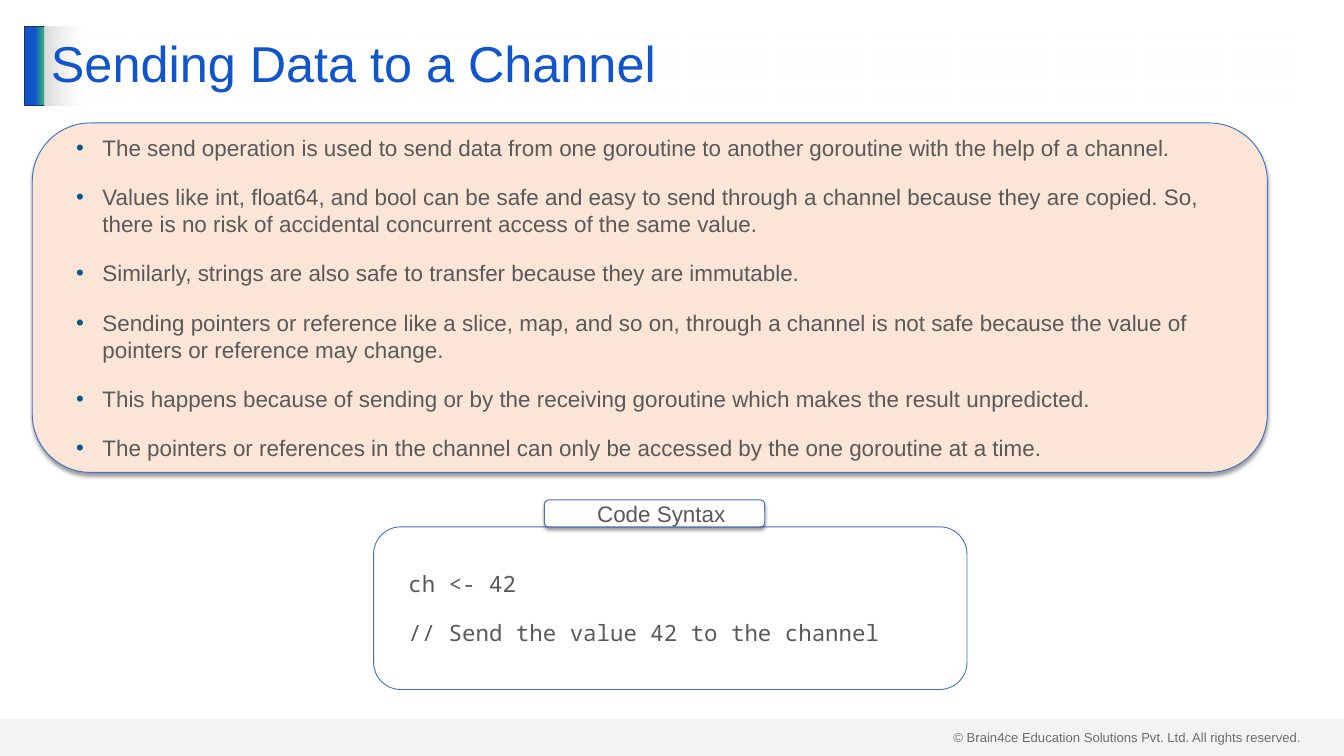
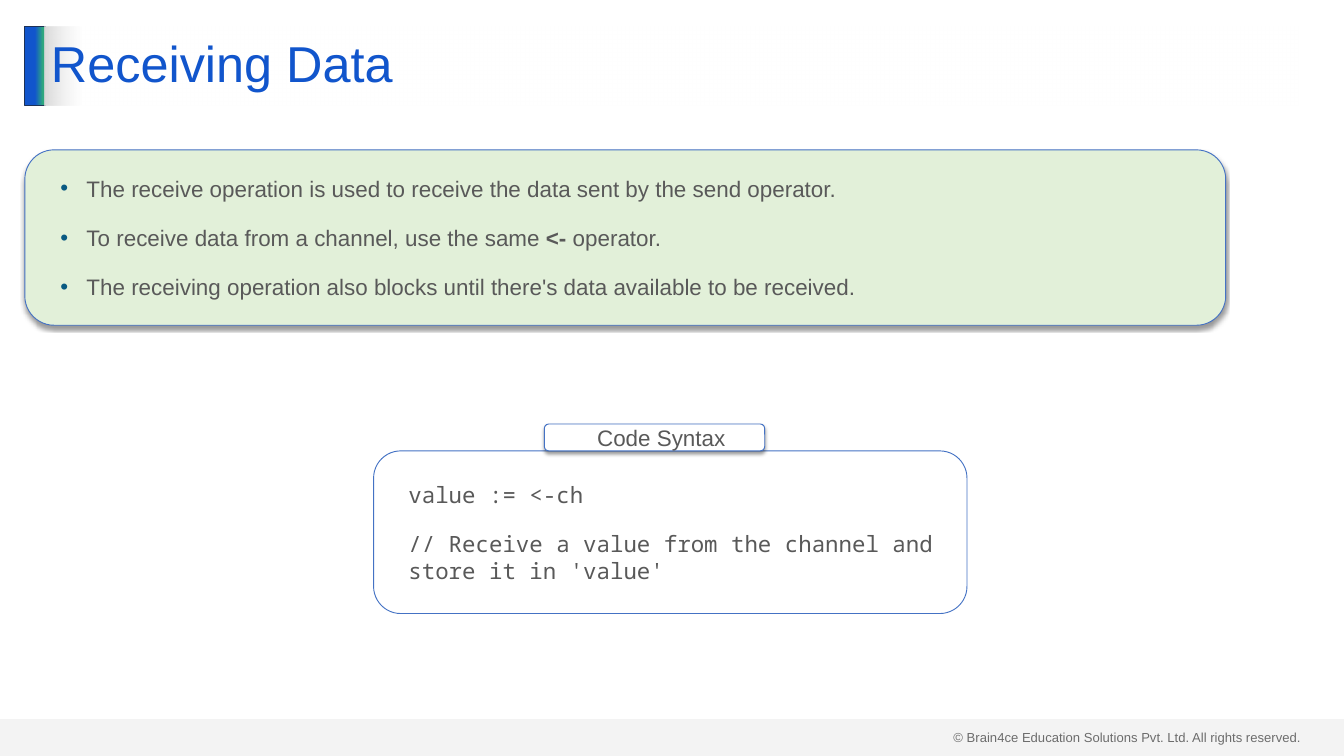
from dataclasses import dataclass

import pptx
import pptx.util
from lxml import etree
from pptx.dml.color import RGBColor
from pptx.enum.shapes import MSO_SHAPE
from pptx.enum.text import MSO_ANCHOR, PP_ALIGN
from pptx.oxml.ns import qn
from pptx.util import Inches, Pt


@dataclass(frozen=True)
class Theme:
    title: str = "1155CC"
    teal: str = "2EA87D"
    accent_edge: str = "1E3256"
    grey: str = "D9D9D9"
    white: str = "FFFFFF"
    peach: str = "FBE5D6"
    green: str = "E2F0D9"
    edge: str = "4472C4"
    body: str = "595959"
    bullet: str = "095A82"
    footer: str = "404040"
    shadow: str = "000000"
    sans: str = "Arial"
    mono: str = "Noto Sans Mono"
    title_size: int = 54
    body_size: int = 24
    footer_size: int = 14
    gap: int = 24


THEME = Theme()
FOOTER = "© Brain4ce Education Solutions Pvt. Ltd. All rights reserved."
CODE_HEADING = "Code Syntax"

LESSONS = [
    {
        "title": "Sending Data to a Channel",
        "panel": (0.48, 1.83, 18.38, 5.2),
        "tint": THEME.peach,
        "points": [
            "The send operation is used to send data from one goroutine to another goroutine with the help of a channel.",
            "Values like int, float64, and bool can be safe and easy to send through a channel because they are copied. "
            "So, there is no risk of accidental concurrent access of the same value.",
            "Similarly, strings are also safe to transfer because they are immutable.",
            "Sending pointers or reference like a slice, map, and so on, through a channel is not safe because the value "
            "of pointers or reference may change.",
            "This happens because of sending or by the receiving goroutine which makes the result unpredicted.",
            "The pointers or references in the channel can only be accessed by the one goroutine at a time.",
        ],
        "code_top": 7.84,
        "code": ["ch <- 42", "// Send the value 42 to the channel"],
    },
    {
        "title": "Receiving Data",
        "panel": (0.37, 2.23, 17.87, 2.61),
        "tint": THEME.green,
        "points": [
            "The receive operation is used to receive the data sent by the send operator.",
            ("To receive data from a channel, use the same ", "<- ", "operator."),
            "The receiving operation also blocks until there's data available to be received.",
        ],
        "code_top": 6.71,
        "code": ["value := <-ch", "// Receive a value from the channel and store it in 'value'"],
    },
]


def add_color(parent, color, alpha=100):
    node = etree.SubElement(parent, qn("a:srgbClr"), val=color)
    if alpha < 100:
        etree.SubElement(node, qn("a:alpha"), val=str(alpha * 1000))


def add_box(slide, place, kind=MSO_SHAPE.RECTANGLE, fill=None, edge=None):
    box = slide.shapes.add_shape(kind, *map(Inches, place))
    box.shadow.inherit = False
    if fill:
        box.fill.solid()
        box.fill.fore_color.rgb = RGBColor.from_string(fill)
    else:
        box.fill.background()
    if edge:
        box.line.color.rgb = RGBColor.from_string(edge)
        box.line.width = Pt(1)
    else:
        box.line.fill.background()
    return box


def set_gradient(box, stops):
    box.fill.gradient()
    box.fill.gradient_angle = 0
    stop_list = box.element.spPr.find(qn("a:gradFill")).find(qn("a:gsLst"))
    for stop in list(stop_list):
        stop_list.remove(stop)
    for position, color, alpha in stops:
        add_color(etree.SubElement(stop_list, qn("a:gs"), pos=str(position * 1000)), color, alpha)


def cast_shadow(box):
    effects = box.element.spPr.find(qn("a:effectLst"))
    shadow = etree.SubElement(effects, qn("a:outerShdw"), blurRad=str(Pt(4)), dist=str(Pt(3)),
                              dir="5400000", algn="t", rotWithShape="0")
    add_color(shadow, THEME.shadow, 40)


def set_font(paragraph, size, color, name=THEME.sans):
    paragraph.font.name = name
    paragraph.font.size = Pt(size)
    paragraph.font.color.rgb = RGBColor.from_string(color)


def write_body(box, texts, font=THEME.sans, bulleted=False, align=PP_ALIGN.LEFT):
    frame = box.text_frame
    frame.word_wrap = True
    frame.vertical_anchor = MSO_ANCHOR.MIDDLE
    frame.margin_left = frame.margin_right = Inches(0.2)
    frame.margin_top = frame.margin_bottom = Inches(0.1)
    for index, text in enumerate(texts):
        paragraph = frame.add_paragraph() if index else frame.paragraphs[0]
        parts = (text,) if isinstance(text, str) else text
        for number, part in enumerate(parts):
            run = paragraph.add_run()
            run.text = part
            if number % 2:
                run.font.bold = True
        paragraph.alignment = align
        paragraph.level = 1
        paragraph.space_before = Pt(THEME.gap if index else 0)
        paragraph.space_after = Pt(0)
        properties = paragraph._p.get_or_add_pPr()
        properties.set("marL", str(Inches(0.59 if bulleted else 0.2)))
        properties.set("indent", str(Inches(-0.39 if bulleted else 0)))
        if bulleted:
            add_color(etree.SubElement(properties, qn("a:buClr")), THEME.bullet)
            etree.SubElement(properties, qn("a:buFont"), typeface=THEME.sans)
            etree.SubElement(properties, qn("a:buChar"), char="•")
        set_font(paragraph, THEME.body_size, THEME.body, font)


def add_frame(slide, title):
    credit = slide.shapes.add_textbox(*map(Inches, (14.09, 10.8, 5.41, 0.34)))
    credit.text_frame.word_wrap = True
    credit.text_frame.text = FOOTER
    set_font(credit.text_frame.paragraphs[0], THEME.footer_size, THEME.footer)

    accent = add_box(slide, (0.37, 0.39, 0.3, 1.18), edge=THEME.accent_edge)
    set_gradient(accent, [(51, THEME.title, 100), (90, THEME.teal, 100), (100, THEME.teal, 100)])

    band = add_box(slide, (0, 10.7, 20, 0.55), fill=THEME.grey)
    band_color = band.element.spPr.find(qn("a:solidFill")).find(qn("a:srgbClr"))
    etree.SubElement(band_color, qn("a:alpha"), val="29000")

    heading = add_box(slide, (0.66, 0.39, 18.67, 1.18))
    set_gradient(heading, [(0, THEME.grey, 100), (0, THEME.grey, 100), (3, THEME.white, 50)])
    heading.text_frame.text = title
    heading.text_frame.vertical_anchor = MSO_ANCHOR.MIDDLE
    paragraph = heading.text_frame.paragraphs[0]
    paragraph.alignment = PP_ALIGN.LEFT
    paragraph.line_spacing = 0.9
    set_font(paragraph, THEME.title_size, THEME.title)


def add_lesson(slide, lesson):
    add_frame(slide, lesson["title"])
    rounded = MSO_SHAPE.ROUNDED_RECTANGLE

    panel = add_box(slide, lesson["panel"], rounded, lesson["tint"], THEME.edge)
    cast_shadow(panel)
    write_body(panel, lesson["points"], bulleted=True)

    code = add_box(slide, (5.56, lesson["code_top"], 8.83, 2.42), rounded, edge=THEME.edge)
    write_body(code, lesson["code"], font=THEME.mono)

    tab = add_box(slide, (8.1, lesson["code_top"] - 0.4, 3.28, 0.4), rounded, THEME.white, THEME.edge)
    cast_shadow(tab)
    write_body(tab, [CODE_HEADING], align=PP_ALIGN.CENTER)


def main():
    deck = pptx.Presentation()
    deck.slide_width = Inches(20)
    deck.slide_height = Inches(11.25)
    for lesson in LESSONS:
        add_lesson(deck.slides.add_slide(deck.slide_layouts[6]), lesson)
    deck.save("out.pptx")


if __name__ == "__main__":
    main()
